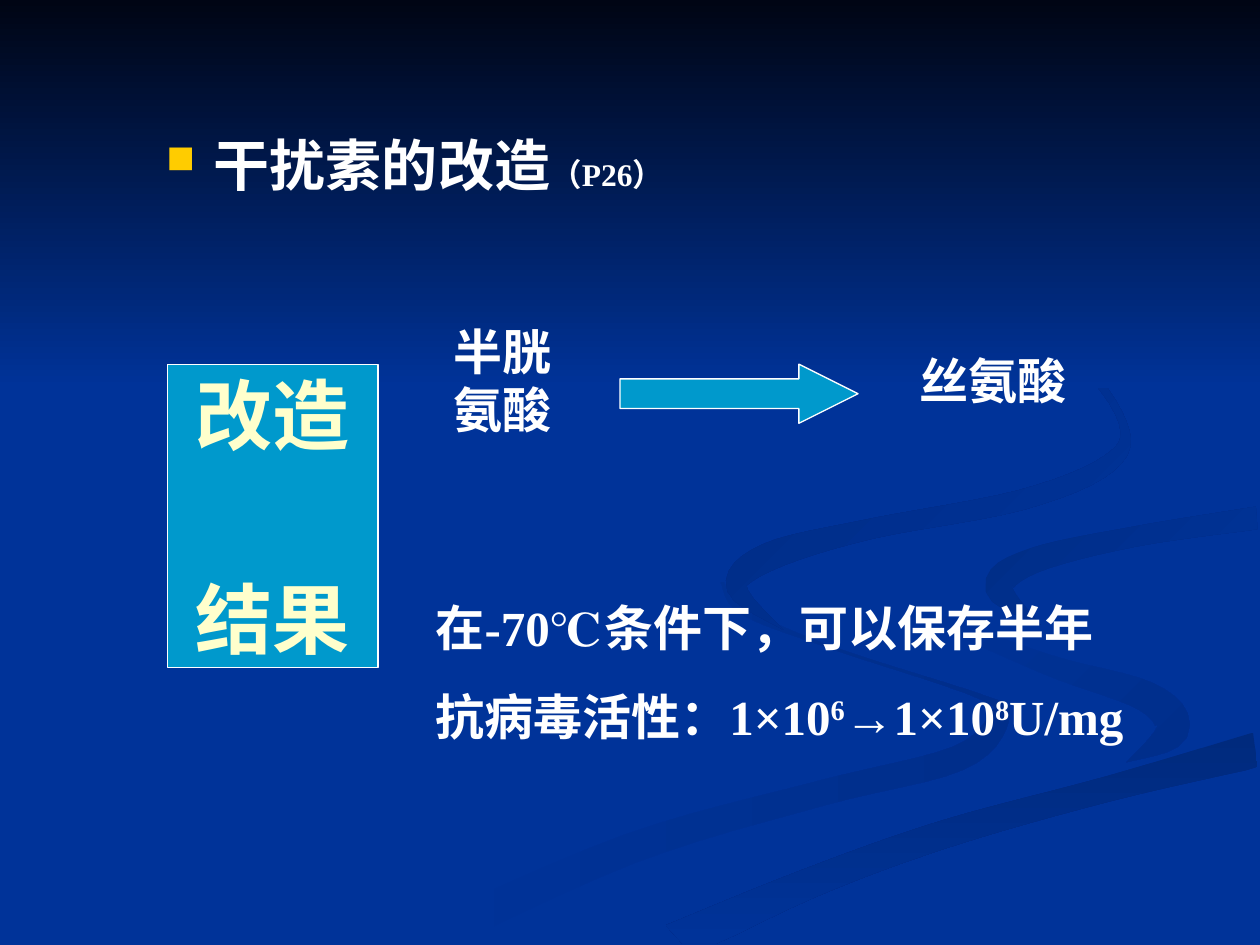
from math import hypot

from lxml import etree
from pptx import Presentation
from pptx.dml.color import RGBColor
from pptx.enum.shapes import MSO_SHAPE
from pptx.enum.text import MSO_ANCHOR, PP_ALIGN
from pptx.oxml.ns import qn
from pptx.util import Inches, Pt

BLUE, CYAN, WHITE, CREAM, GOLD = "003399", "0099CC", "FFFFFF", "FFFFCC", "FFCC00"
STEPS = 6

RIBBONS = [
    ([BLUE, "002E8B"], 0, [
        (3.3, 7.49, 0.14), (4.99, 6.74, 0.12), (6.5, 6.3, 0.1), (7.6, 6.02, 0.1),
        (7.93, 5.7, 0.08), (7.81, 5.54, 0.02), (6.6, 5.14, 0.01), (5.9, 4.85, 0.03),
        (5.73, 4.62, 0.01)]),
    ([BLUE, "002E8B"], 45, [
        (7.24, 4.64, 0), (7.39, 4.88, 0.04), (8.3, 5.27, 0.08), (9.1, 5.53, 0.12),
        (9.3, 5.8, 0.13), (8.94, 6.05, 0)]),
    (["002A7D", BLUE], 90, [
        (5.35, 7.49, 0.16), (6.4, 7.02, 0.12), (7.5, 6.62, 0.11), (8.8, 6.26, 0.1),
        (9.98, 5.95, 0.14)]),
    (["002D86", BLUE], 45, [
        (9.98, 4.11, 0.09), (9, 4.26, 0.08), (8.2, 4.45, 0.1), (7.93, 4.67, 0.11),
        (8.26, 4.96, 0)]),
    (["002B82", BLUE], 45, [
        (7.62, 2.33, 0), (8.49, 2.81, 0.03), (8.91, 3.35, 0.03), (8.8, 3.68, 0.07),
        (8.1, 3.97, 0.08), (6.9, 4.2, 0.08), (6.1, 4.42, 0.11), (5.85, 4.67, 0.08),
        (6.22, 5, 0)]),
]


def rgb(value):
    return RGBColor.from_string(value)


def paint(sp, colours, angle=0, line=None):
    sp.shadow.inherit = False
    if len(colours) == 1:
        sp.fill.solid()
        sp.fill.fore_color.rgb = rgb(colours[0])
    else:
        sp.fill.gradient()
        sp.fill.gradient_angle = -angle % 360
        for stop, colour in zip(sp.fill.gradient_stops, colours):
            stop.color.rgb = rgb(colour)
    if line:
        sp.line.color.rgb = rgb(line)
        sp.line.width = Pt(0.75)
    else:
        sp.line.fill.background()


def smooth_curve(knots):
    padded = [knots[0], *knots, knots[-1]]
    curve = []
    for a, b, c, d in zip(padded, padded[1:], padded[2:], padded[3:]):
        for t in (i / STEPS for i in range(STEPS)):
            curve.append([
                q + t * (r - p + t * (2 * p - 5 * q + 4 * r - u + t * (3 * q - p - 3 * r + u)) ) / 2
                for p, q, r, u in zip(a, b, c, d)])
    return curve + [knots[-1]]


def ribbon_outline(knots):
    curve = smooth_curve(knots)
    left, right = [], []
    for i, (x, y, half) in enumerate(curve):
        before, after = curve[max(i - 1, 0)], curve[min(i + 1, len(curve) - 1)]
        dx, dy = after[0] - before[0], after[1] - before[1]
        length = hypot(dx, dy)
        for side, sign in ((left, half), (right, -half)):
            px, py = x - sign * dy / length, y + sign * dx / length
            side.append((Inches(min(px, 9.98)), Inches(min(py, 7.49))))
    return left + right[::-1]


def add_runs(p, runs, size, colour=WHITE):
    for text, extra in runs:
        r = p.add_run()
        r.text = text
        fmt = {"name": "Times New Roman", "bold": True, "size": Pt(extra.get("size", size))}
        for key, value in fmt.items():
            setattr(r.font, key, value)
        r.font.color.rgb = rgb(colour)
        if "baseline" in extra:
            r.font._element.set("baseline", str(extra["baseline"]))


def add_text(s, box, paragraphs, size):
    tf = s.shapes.add_textbox(*map(Inches, box)).text_frame
    tf.word_wrap = True
    for i, runs in enumerate(paragraphs):
        p = tf.add_paragraph() if i else tf.paragraphs[0]
        if i:
            p.space_before = Pt(17.5)
        add_runs(p, runs, size)
    return tf


def add_backdrop(s, box):
    s.background.fill.solid()
    s.background.fill.fore_color.rgb = rgb(BLUE)
    for colours, angle, knots in RIBBONS:
        start, *rest = ribbon_outline(knots)
        fb = s.shapes.build_freeform(*start)
        fb.add_line_segments(rest, close=True)
        paint(fb.convert_to_shape(), colours, angle)
    sky = s.shapes.add_shape(MSO_SHAPE.RECTANGLE, *map(Inches, box))
    paint(sky, ["000514", BLUE], 90)


def add_heading(s, box):
    tf = add_text(s, box, [[("干扰素的改造", {}), ("（P26）", {"size": 18})]], 32)
    pPr = tf.paragraphs[0]._p.get_or_add_pPr()
    pPr.set("marL", str(Inches(0.38)))
    pPr.set("indent", str(-Inches(0.38)))
    colour = etree.SubElement(pPr, qn("a:buClr"))
    etree.SubElement(colour, qn("a:srgbClr")).set("val", GOLD)
    etree.SubElement(pPr, qn("a:buSzPct")).set("val", "70000")
    etree.SubElement(pPr, qn("a:buChar")).set("char", "■")


def add_label_panel(s, box):
    sp = s.shapes.add_shape(MSO_SHAPE.RECTANGLE, *map(Inches, box))
    paint(sp, [CYAN], line=WHITE)
    tf = sp.text_frame
    tf.word_wrap = False
    tf.vertical_anchor = MSO_ANCHOR.MIDDLE
    for i, label in enumerate(["改造", "结果"]):
        p = tf.add_paragraph() if i else tf.paragraphs[0]
        p.alignment = PP_ALIGN.CENTER
        if i:
            p.space_before = Pt(64)
        add_runs(p, [(label, {})], 44, CREAM)


def add_change(s, box):
    x, y, w, h = box
    add_text(s, (x, y, 1.34, h), [[("半胱氨酸", {})]], 28)
    arrow = s.shapes.add_shape(
        MSO_SHAPE.RIGHT_ARROW, *map(Inches, (x + 1.42, y + 0.39, 1.89, 0.47)))
    arrow.adjustments[0], arrow.adjustments[1] = 0.5, 1
    paint(arrow, [CYAN], line=WHITE)
    add_text(s, (x + w - 1.57, y + 0.23, 1.57, 0.57), [[("丝氨酸", {})]], 28)


def add_results(s, box):
    power = {"baseline": 30000}
    add_text(s, box, [
        [("在-70℃条件下，可以保存半年", {})],
        [("抗病毒活性：1×10", {}), ("6", power), ("→1×10", {}), ("8", power), ("U/mg", {})],
    ], 28)


def main():
    prs = Presentation()
    prs.slide_width, prs.slide_height = Inches(10), Inches(7.5)
    s = prs.slides.add_slide(prs.slide_layouts[6])
    add_backdrop(s, (0, 0, 10, 3.08))
    add_heading(s, (1.22, 0.99, 4.33, 0.71))
    add_change(s, (3.5, 2.5, 5.27, 1.04))
    add_results(s, (3.36, 4.69, 6.18, 1.28))
    add_label_panel(s, (1.33, 2.89, 1.67, 2.41))
    prs.save("out.pptx")


if __name__ == "__main__":
    main()
